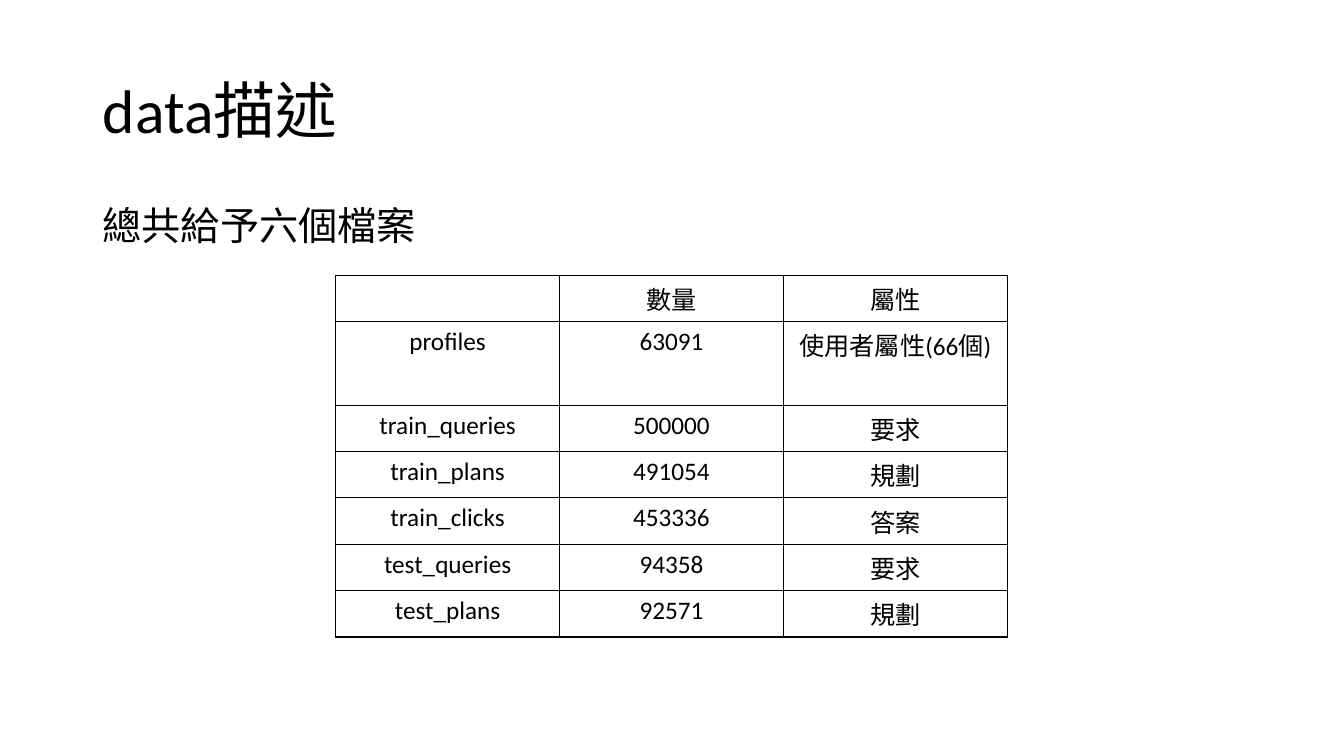
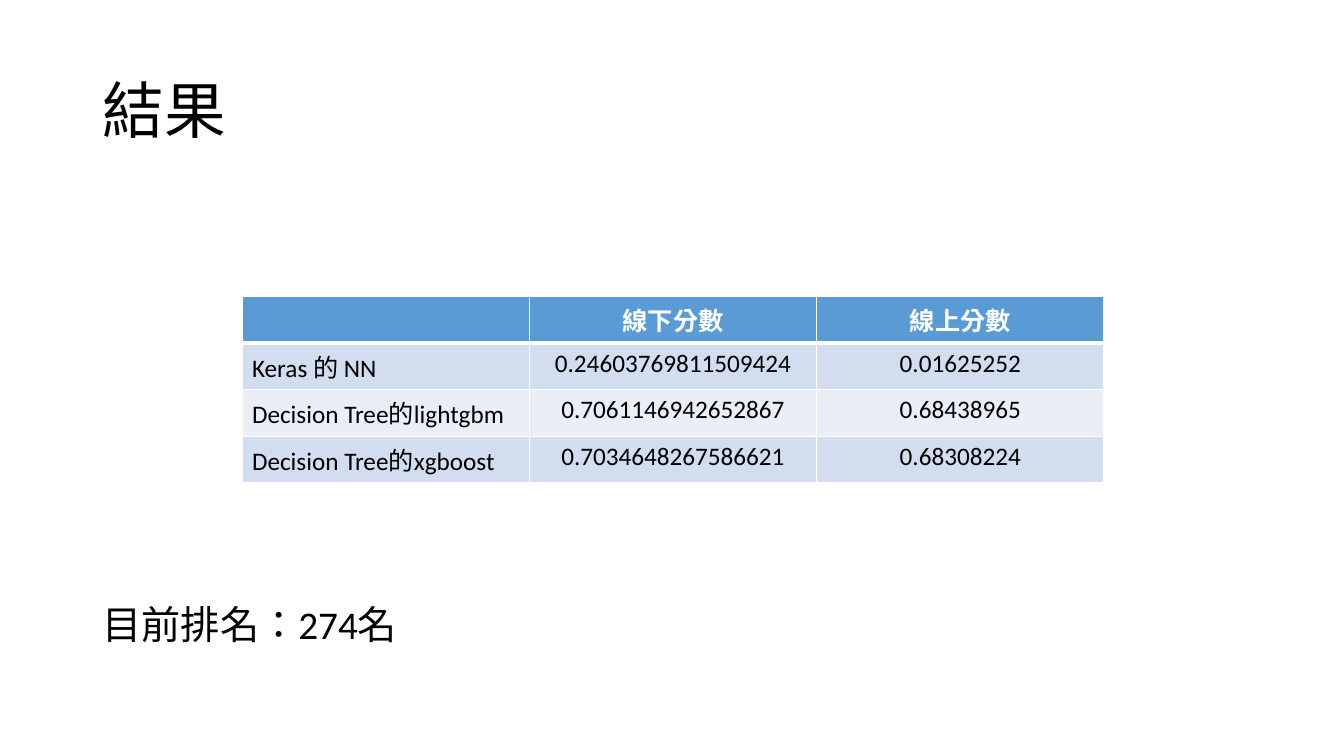
from lxml import etree
from pptx import Presentation
from pptx.dml.color import RGBColor
from pptx.enum import lang, text
from pptx.oxml import ns
from pptx.util import Inches, Pt

BLACK = RGBColor(0x00, 0x00, 0x00)
WHITE = RGBColor(0xFF, 0xFF, 0xFF)
BLUE = RGBColor(0x5B, 0x9B, 0xD5)
BAND_DARK = RGBColor(0xD2, 0xDE, 0xEF)
BAND_LIGHT = RGBColor(0xEA, 0xEF, 0xF7)

FONT = "Calibri"
LANGUAGE = lang.MSO_LANGUAGE_ID.TRADITIONAL_CHINESE
MARGIN, CONTENT_W = 0.92, 11.5
ROW_H, TWO_LINE_ROW_H = 0.46, 0.83
LEFT, CENTER = text.PP_ALIGN.LEFT, text.PP_ALIGN.CENTER

FILES = [
    ("", "數量", "屬性"),
    ("profiles", "63091", "使用者屬性(66個)"),
    ("train_queries", "500000", "要求"),
    ("train_plans", "491054", "規劃"),
    ("train_clicks", "453336", "答案"),
    ("test_queries", "94358", "要求"),
    ("test_plans", "92571", "規劃"),
]
SCORES = [
    ("", "線下分數", "線上分數"),
    ("Keras 的 NN", "0.24603769811509424", "0.01625252"),
    ("Decision Tree的lightgbm", "0.7061146942652867", "0.68438965"),
    ("Decision Tree的xgboost", "0.7034648267586621", "0.68308224"),
]


def write(tf, content, size, color=BLACK, bold=False, **paragraph_format):
    p = tf.paragraphs[0]
    for name, value in paragraph_format.items():
        setattr(p, name, value)
    if not content:
        p.font.size = Pt(size)
        return
    r = p.add_run()
    r.text = content
    run_format = {"name": FONT, "size": Pt(size), "bold": bold,
                  "language_id": LANGUAGE}
    for name, value in run_format.items():
        setattr(r.font, name, value)
    r.font.color.rgb = color


def add_titled_slide(prs, title):
    s = prs.slides.add_slide(prs.slide_layouts[5])
    sp = s.shapes.title
    sp.left, sp.top = Inches(MARGIN), Inches(0.4)
    sp.width, sp.height = Inches(CONTENT_W), Inches(1.45)
    sp.text_frame.vertical_anchor = text.MSO_ANCHOR.MIDDLE
    write(sp.text_frame, title, 44, alignment=LEFT, line_spacing=0.9)
    return s


def add_statement(s, content, top):
    sp = s.shapes.add_textbox(Inches(MARGIN), Inches(top),
                              Inches(CONTENT_W), Inches(0.7))
    sp.text_frame.word_wrap = True
    write(sp.text_frame, content, 28, line_spacing=0.9, space_before=Pt(10))


def set_borders(cell, color, widths):
    """Draw the left, right, top and bottom borders with widths in points."""
    tc_pr = cell._tc.get_or_add_tcPr()
    for i, (side, width) in enumerate(zip("LRTB", widths)):
        ln = etree.Element(ns.qn(f"a:ln{side}"), w=str(Pt(width)))
        fill = etree.SubElement(ln, ns.qn("a:solidFill"))
        etree.SubElement(fill, ns.qn("a:srgbClr"), val=str(color))
        tc_pr.insert(i, ln)


def add_grid(s, rows, left, top, col_w, border, banded=False, two_line=()):
    """Add a table, plain or banded; two_line lists the taller rows."""
    n_cols = len(rows[0])
    heights = [TWO_LINE_ROW_H if i in two_line else ROW_H
               for i in range(len(rows))]
    table = s.shapes.add_table(
        len(rows), n_cols, Inches(left), Inches(top),
        Inches(col_w * n_cols), Inches(sum(heights))).table
    table.first_row = table.horz_banding = False
    for column in table.columns:
        column.width = Inches(col_w)
    for i, row in enumerate(rows):
        table.rows[i].height = Inches(heights[i])
        header = banded and i == 0
        top_w = 3 if banded and i == 1 else 1
        for j, content in enumerate(row):
            cell = table.cell(i, j)
            if banded:
                cell.fill.solid()
                band = BAND_DARK if i % 2 else BAND_LIGHT
                cell.fill.fore_color.rgb = BLUE if header else band
            else:
                cell.fill.background()
            set_borders(cell, border, (1, 1, top_w, 3 if header else 1))
            write(cell.text_frame, content, 18, WHITE if header else BLACK,
                  header, alignment=LEFT if banded and j == 0 else CENTER)


def main():
    prs = Presentation()
    prs.slide_width, prs.slide_height = Inches(13.33), Inches(7.5)

    s = add_titled_slide(prs, "data描述")
    add_statement(s, "總共給予六個檔案", 2)
    add_grid(s, FILES, 3.33, 2.73, 2.22, BLACK, two_line=(1,))

    s = add_titled_slide(prs, "結果")
    add_grid(s, SCORES, 2.4, 2.94, 2.85, WHITE, banded=True)
    add_statement(s, "目前排名：274名", 5.96)

    prs.save("out.pptx")


if __name__ == "__main__":
    main()
